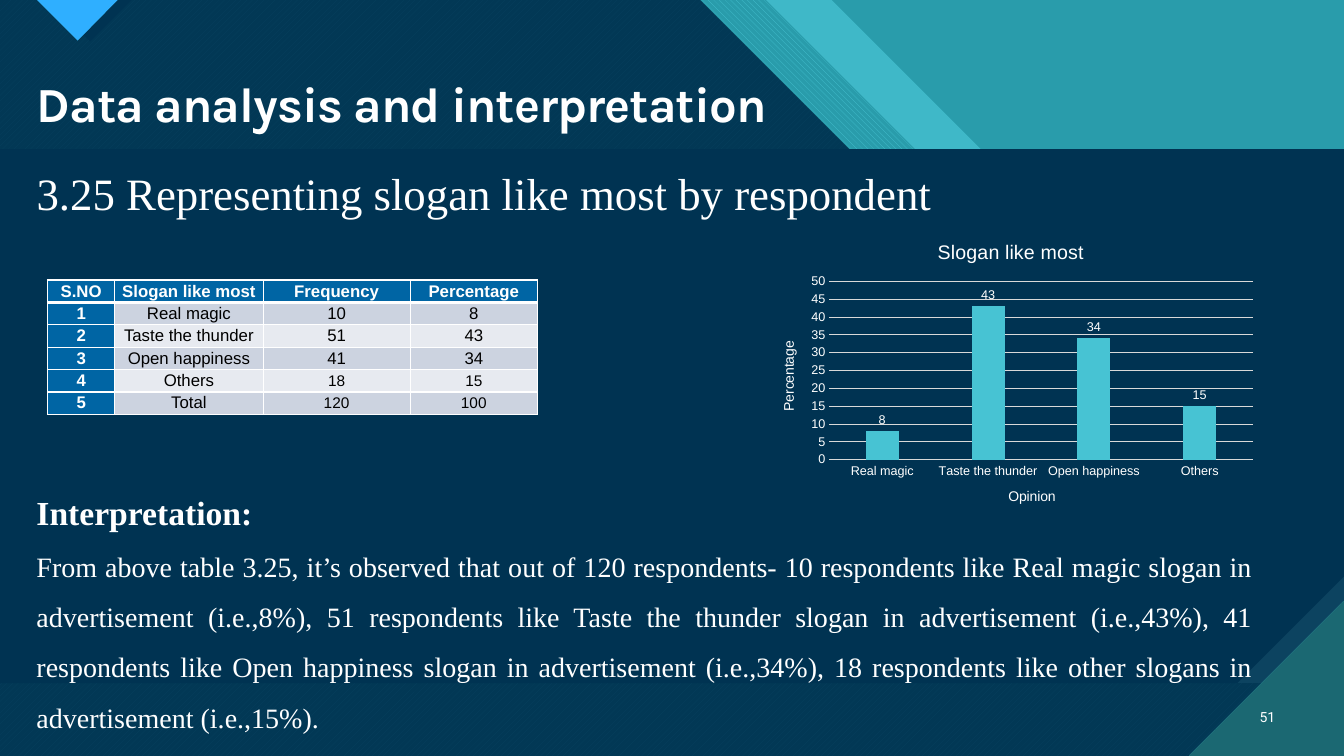
"""Build a slide on slogan preference with a table, a chart and its reading."""
from pptx import Presentation
from pptx.chart.data import CategoryChartData
from pptx.dml.color import RGBColor
from pptx.enum.chart import XL_CHART_TYPE, XL_LABEL_POSITION, XL_TICK_MARK
from pptx.enum.dml import MSO_PATTERN
from pptx.enum.shapes import MSO_SHAPE
from pptx.enum.text import MSO_ANCHOR, MSO_AUTO_SIZE, PP_ALIGN
from pptx.oxml import parse_xml
from pptx.oxml.ns import nsdecls, qn
from pptx.util import Pt

WHITE = RGBColor(0xFF, 0xFF, 0xFF)
BLACK = RGBColor(0, 0, 0)
NAVY = RGBColor(0x00, 0x33, 0x52)
SLATE = RGBColor(0x0C, 0x43, 0x60)
TEAL = RGBColor(0x29, 0x9C, 0xAB)
AQUA = RGBColor(0x47, 0xC3, 0xD3)
PINE = RGBColor(0x1B, 0x68, 0x72)
SKY = RGBColor(0x2F, 0xAF, 0xFF)
BLUE = RGBColor(0x00, 0x65, 0xA4)
BANDS = RGBColor(0xE7, 0xEA, 0xF0), RGBColor(0xCC, 0xD3, 0xE0)
GRID = RGBColor(0xD9, 0xD9, 0xD9)
DOWN, UP = MSO_PATTERN.WIDE_DOWNWARD_DIAGONAL, MSO_PATTERN.WIDE_UPWARD_DIAGONAL
HORZ, VERT = MSO_PATTERN.DARK_HORIZONTAL, MSO_PATTERN.DARK_VERTICAL
LEFT, RIGHT, CENTER, EVEN = PP_ALIGN.LEFT, PP_ALIGN.RIGHT, PP_ALIGN.CENTER, PP_ALIGN.JUSTIFY
TOP, MIDDLE, GROW = MSO_ANCHOR.TOP, MSO_ANCHOR.MIDDLE, MSO_AUTO_SIZE.SHAPE_TO_FIT_TEXT
RECT, SNIP = MSO_SHAPE.RECTANGLE, MSO_SHAPE.SNIP_1_RECTANGLE
COLUMN, ABOVE, NONE = XL_CHART_TYPE.COLUMN_CLUSTERED, XL_LABEL_POSITION.OUTSIDE_END, XL_TICK_MARK.NONE
SERIF = "Times New Roman"


def write(para, text, size=12, font="Arial", color=WHITE, bold=False, align=CENTER, line=None):
    run = para.add_run()
    run.text = text
    run.font.size = Pt(size)
    run.font.name = font
    run.font.color.rgb = color
    run.font.bold = bold
    para.alignment = align
    para.line_spacing = line
    return run


def paint(shape, fore, back=None, hatch=None, alpha=None):
    shape.shadow.inherit = False
    shape.line.fill.background()
    if hatch is None:
        shape.fill.solid()
        shape.fill.fore_color.rgb = fore
    else:
        shape.fill.patterned()
        shape.fill.pattern = hatch
        shape.fill.fore_color.rgb = fore
        shape.fill.back_color.rgb = back
    if alpha:
        tint = shape.element.spPr.find(".//" + qn("a:srgbClr"))
        tint.append(parse_xml(f'<a:alpha {nsdecls("a")} val="{alpha * 1000}"/>'))


deck = Presentation()
deck.slide_width, deck.slide_height = Pt(960), Pt(540)
slide = deck.slides.add_slide(deck.slide_layouts[5])
shapes = slide.shapes
slide.background.fill.solid()
slide.background.fill.fore_color.rgb = AQUA

paint(shapes.add_shape(RECT, 0, 0, Pt(960), Pt(540)), TEAL)
outlines = []
for left, edge, style in [
    (0, 594, dict(fore=AQUA, alpha=74)),
    (47.5, 547, dict(fore=AQUA, back=TEAL, hatch=DOWN)),
    (0, 500, dict(fore=AQUA, back=PINE, hatch=UP)),
    (0, 500, dict(fore=NAVY, alpha=90)),
]:
    points = [(left, 0), (edge, 0), (edge + 214, 214), (edge + 305, 214),
              (960, 869 - edge), (960, 540), (left, 540)]
    outlines.append((points, style))
outlines += [
    ([(94, 0), (64.5, 29.5), (34.5, 0)], dict(fore=NAVY)),
    ([(26.5, 0), (55.5, 29), (84, 0)], dict(fore=SKY, back=PINE, hatch=HORZ)),
    ([(849, 540), (960, 540), (960, 429)], dict(fore=PINE, back=AQUA, hatch=HORZ)),
]
for points, style in outlines:
    spots = [(Pt(x), Pt(y)) for x, y in points]
    pen = shapes.build_freeform(*spots[0])
    pen.add_line_segments(spots[1:])
    corner = pen.convert_to_shape()
    paint(corner, **style)

for cut, style in [(0, dict(fore=SLATE, back=PINE, hatch=VERT)), (0.2, dict(fore=NAVY))]:
    band = shapes.add_shape(SNIP, 0, Pt(106.5), Pt(960), Pt(381.5))
    band.adjustments[0] = cut
    band.element.spPr.xfrm.set("flipV", "1")
    paint(band, **style)

tree = shapes.title.element.getparent()
tree.append(corner.element)
tree.append(shapes.title.element)

boxes = [
    (shapes.title, (19, 54, 544, 45), MIDDLE, GROW),
    (shapes.add_textbox(0, 0, 0, 0), (886, 497.5, 32, 29), MIDDLE, None),
    (shapes.add_textbox(0, 0, 0, 0), (19, 115, 899, 46), TOP, GROW),
    (shapes.add_textbox(0, 0, 0, 0), (19, 333.5, 883, 192), TOP, GROW),
]
for box, place, anchor, fit in boxes:
    box.left, box.top, box.width, box.height = map(Pt, place)
    box.text_frame.word_wrap = True
    box.text_frame.vertical_anchor = anchor
    box.text_frame.auto_size = fit
title, number, head, body = [box[0].text_frame for box in boxes]
run = write(title.paragraphs[0], "Data analysis and interpretation",
            size=35, font="Karla", bold=True, align=LEFT, line=0.9)
run.font._element.set("spc", "-70")
write(number.paragraphs[0], "51", size=10, font="Roboto", align=RIGHT)
write(head.paragraphs[0], "3.25 Representing slogan like most by respondent",
      size=32, font=SERIF, align=EVEN)
write(body.paragraphs[0], "Interpretation:", size=24, font=SERIF, bold=True, align=EVEN, line=1.5)
write(body.add_paragraph(),
      "From above table 3.25, it’s observed that out of 120 respondents- 10 respondents like "
      "Real magic slogan in advertisement (i.e.,8%), 51 respondents like Taste the thunder slogan "
      "in advertisement (i.e.,43%), 41 respondents like Open happiness slogan in advertisement "
      "(i.e.,34%), 18 respondents like other slogans in advertisement (i.e.,15%).",
      size=20, font=SERIF, align=EVEN, line=1.5)

rows = [
    ("S.NO", "Slogan like most", "Frequency", "Percentage"),
    ("1", "Real magic", "10", "8"),
    ("2", "Taste the thunder", "51", "43"),
    ("3", "Open happiness", "41", "34"),
    ("4", "Others", "18", "15"),
    ("5", "Total", "120", "100"),
]
table = shapes.add_table(6, 4, Pt(34), Pt(200), Pt(350), Pt(96)).table
for col, width in zip(table.columns, (48, 106, 105, 91)):
    col.width = Pt(width)
for r, row in enumerate(rows):
    table.rows[r].height = Pt(16)
    for c, text in enumerate(row):
        cell = table.cell(r, c)
        cell.margin_left = cell.margin_right = Pt(5)
        cell.margin_top = cell.margin_bottom = 0
        cell.vertical_anchor = MIDDLE
        for side in "LRTB":
            thick = 3 if (r, side) in [(0, "B"), (1, "T")] else 1
            cell._tc.get_or_add_tcPr().append(parse_xml(
                f'<a:ln{side} {nsdecls("a")} w="{Pt(thick)}"><a:solidFill>'
                f'<a:srgbClr val="{WHITE}"/></a:solidFill></a:ln{side}>'))
        key = r == 0 or c == 0
        cell.fill.solid()
        cell.fill.fore_color.rgb = BLUE if key else BANDS[r % 2]
        write(cell.text_frame.paragraphs[0], text, size=11 if r > 3 and c > 1 else 12,
              color=WHITE if key else BLACK, bold=key)

data = CategoryChartData()
data.categories = [row[1] for row in rows[1:5]]
data.add_series("Series 1", [int(row[3]) for row in rows[1:5]])
chart = shapes.add_chart(COLUMN, Pt(542), Pt(160), Pt(360), Pt(216), data).chart
chart.has_legend = False
chart.font.size, chart.font.name = Pt(10), "Arial"
chart.font.color.rgb = WHITE
write(chart.chart_title.text_frame.paragraphs[0], "Slogan like most", size=14)
opinion, percent = chart.category_axis, chart.value_axis
for axis, name in [(opinion, "Opinion"), (percent, "Percentage")]:
    write(axis.axis_title.text_frame.paragraphs[0], name, size=10)
    axis.major_tick_mark = axis.minor_tick_mark = NONE
    axis.tick_labels.font.size, axis.tick_labels.font.name = Pt(9), "Arial"
    axis.tick_labels.font.color.rgb = WHITE
percent.axis_title.text_frame._txBody.bodyPr.set("rot", "-5400000")
percent.minimum_scale, percent.maximum_scale, percent.major_unit = 0, 50, 5
percent.format.line.fill.background()
for line in (opinion.format.line, percent.major_gridlines.format.line):
    line.color.rgb = GRID
    line.width = Pt(0.75)

plot = chart.plots[0]
plot.gap_width, plot.overlap, plot.vary_by_categories = 219, -27, False
bars = plot.series[0]
bars.format.fill.solid()
bars.format.fill.fore_color.rgb = AQUA
labels = bars.data_labels
labels.show_value, labels.position = True, ABOVE
labels.font.size, labels.font.name = Pt(9), "Arial"
labels.font.color.rgb = WHITE
area = chart._chartSpace.chart.plotArea
for old in area.findall(qn("c:layout")):
    area.remove(old)
sizes = "".join(f'<c:{k} val="{v}"/>' for k, v in zip("xywh", (0.14, 0.19, 0.84, 0.59)))
area.insert(0, parse_xml(
    f'<c:layout {nsdecls("c")}><c:manualLayout><c:layoutTarget val="inner"/>'
    f'<c:xMode val="edge"/><c:yMode val="edge"/>{sizes}</c:manualLayout></c:layout>'))

deck.save("out.pptx")
